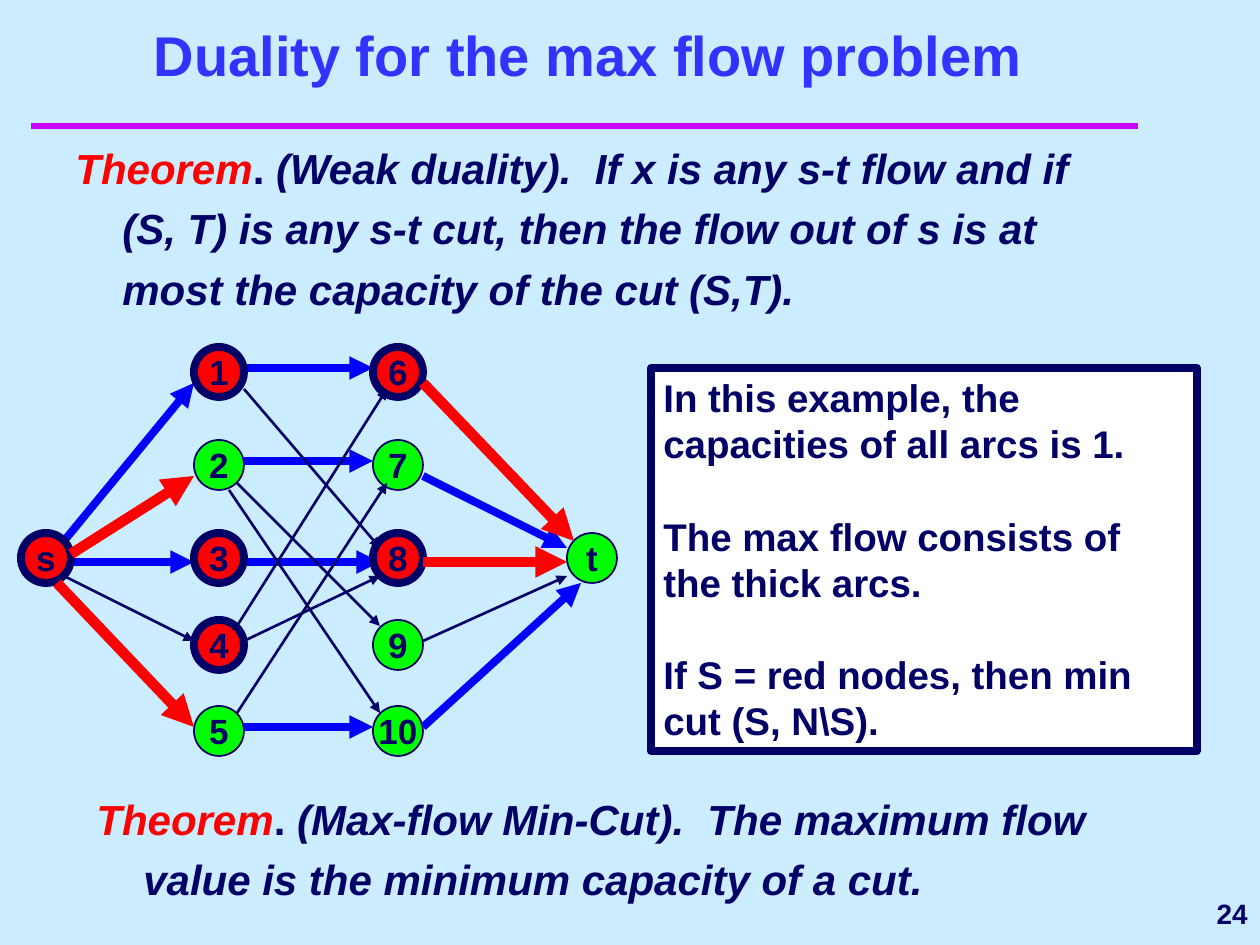
from lxml.etree import SubElement
from pptx import Presentation
from pptx.dml.color import RGBColor
from pptx.enum.shapes import MSO_CONNECTOR, MSO_SHAPE
from pptx.enum.text import MSO_ANCHOR, PP_ALIGN
from pptx.oxml.ns import qn
from pptx.util import Emu, Pt

SCALE = 914400 / 126
NAVY, RED, BLUE, GREEN = "000066", "FF0000", "0000FF", "00FF00"
NODE = 50
COLS = [0, 173, 352, 546]
ROWS = [0, 93, 186, 273, 359]
RED_NODES = ["1", "3", "4", "6", "8", "s"]

# Tail node, start offset in it, head node, end offset in it
THIN = [
    ("1", (50, 42), "8", (7, 15)),
    ("2", (43, 43), "9", (7, 6)),
    ("2", (35, 50), "10", (7, 7)),
    ("4", (43, 6), "6", (14, 42)),
    ("4", (50, 21), "8", (7, 43)),
    ("5", (43, 7), "7", (14, 43)),
    ("s", (43, 43), "4", (0, 21)),
    ("9", (50, 21), "t", (0, 43)),
]
THICK = [
    ("s", (43, 8), "1", (0, 36)),
    ("s", (50, 29), "3", (0, 29)),
    ("1", (50, 21), "6", (0, 21)),
    ("2", (50, 21), "7", (0, 21)),
    ("3", (50, 29), "8", (7, 29)),
    ("5", (50, 21), "10", (0, 21)),
    ("7", (50, 36), "t", (0, 15)),
    ("10", (50, 21), "t", (14, 50)),
]
CUT = [
    ("s", (50, 21), "2", (0, 36)),
    ("s", (36, 50), "5", (0, 21)),
    ("6", (50, 36), "t", (7, 8)),
    ("8", (50, 29), "t", (0, 29)),
]


def px(*nums):
    return [Emu(round(n * SCALE)) for n in nums]


def color(code):
    return RGBColor.from_string(code)


def style(font, size, code=NAVY):
    font.name, font.size, font.bold = "Arial", Pt(size), True
    font.color.rgb = color(code)


def label(slide, box, text, size, code, align, anchor):
    frame = slide.shapes.add_textbox(*px(*box)).text_frame
    frame.word_wrap = True
    frame.vertical_anchor = anchor
    para = frame.paragraphs[0]
    para.text, para.alignment = text, align
    style(para.font, size, code)


def line(slide, start, end, code, width, arrow=True):
    link = slide.shapes.add_connector(MSO_CONNECTOR.STRAIGHT, *px(*start, *end))
    link.line.color.rgb = color(code)
    link.line.width = Pt(width)
    if arrow:
        SubElement(link.line._get_or_add_ln(), qn("a:tailEnd"), type="triangle")
    SubElement(link._element.spPr, qn("a:effectLst"))


def panel(slide, kind, box, fill, width):
    shape = slide.shapes.add_shape(kind, *px(*box))
    shape.shadow.inherit = False
    shape.fill.solid()
    shape.fill.fore_color.rgb = color(fill)
    shape.line.color.rgb = color(NAVY)
    shape.line.width = Pt(width)
    return shape


def theorem(slide, box, text):
    frame = slide.shapes.add_textbox(*px(*box)).text_frame
    frame.word_wrap = True
    para = frame.paragraphs[0]
    props = para._p.get_or_add_pPr()
    hang = px(47)[0]
    props.set("marL", str(hang))
    props.set("indent", str(-hang))
    para.line_spacing = 1.2
    style(para.font, 24)
    for part, code, slant in [("Theorem", RED, True), (". ", NAVY, False), (text, NAVY, True)]:
        run = para.add_run()
        run.text = part
        run.font.italic = slant
        run.font.color.rgb = color(code)


def graph(slide, left, top):
    """Draw the flow network, with nodes on a grid and red arcs on top."""
    places = {"s": (0, 2), "t": (3, 2)}
    for i in range(10):
        places[str(i + 1)] = (1 + i // 5, i % 5)
    spots = {name: (left + COLS[c], top + ROWS[r]) for name, (c, r) in places.items()}

    def nodes(names, fill, width):
        for name in names:
            shape = panel(slide, MSO_SHAPE.OVAL, (*spots[name], NODE, NODE), fill, width)
            frame = shape.text_frame
            frame.word_wrap = False
            frame.vertical_anchor = MSO_ANCHOR.MIDDLE
            para = frame.paragraphs[0]
            para.text, para.alignment = name, PP_ALIGN.CENTER
            style(para.font, 20)

    def arcs(links, code, width):
        for tail, start, head, end in links:
            (a, b), (c, d) = spots[tail], spots[head]
            line(slide, (a + start[0], b + start[1]), (c + end[0], d + end[1]), code, width)

    nodes([name for name in spots if name not in RED_NODES], GREEN, 1)
    arcs(THICK, BLUE, 4.5)
    arcs(THIN, NAVY, 1.5)
    nodes(RED_NODES, RED, 4.5)
    arcs(CUT, RED, 6)


def notice(slide, box, texts):
    frame = panel(slide, MSO_SHAPE.RECTANGLE, box, "FFFFFF", 4.5).text_frame
    frame.word_wrap = True
    frame.vertical_anchor = MSO_ANCHOR.TOP
    for i, text in enumerate(texts):
        para = frame.add_paragraph() if i else frame.paragraphs[0]
        para.text, para.alignment = text, PP_ALIGN.LEFT
        if i:
            para.space_before = Pt(26.4)
        style(para.font, 22)


def main():
    deck = Presentation()
    deck.slide_width, deck.slide_height = px(1260, 945)
    slide = deck.slides.add_slide(deck.slide_layouts[6])
    slide.background.fill.solid()
    slide.background.fill.fore_color.rgb = color("CCECFF")

    line(slide, (31, 126), (1138, 126), "CC00FF", 4, arrow=False)
    label(slide, (53, 21, 1071, 73), "Duality for the max flow problem",
          32, "3333FF", PP_ALIGN.CENTER, MSO_ANCHOR.BOTTOM)
    theorem(slide, (63, 126, 1065, 199),
            "(Weak duality).  If x is any s-t flow and if (S, T) is any s-t cut, "
            "then the flow out of s is at most the capacity of the cut (S,T).")
    label(slide, (1018, 882, 242, 63), "24", 16, NAVY, PP_ALIGN.RIGHT, MSO_ANCHOR.MIDDLE)
    graph(slide, 21, 347)
    notice(slide, (651, 368, 546, 383), [
        "In this example, the capacities of all arcs is 1.",
        "The max flow consists of the thick arcs.",
        "If S = red nodes, then min cut (S, N\\S).",
    ])
    theorem(slide, (84, 777, 1065, 168),
            "(Max-flow Min-Cut).  The maximum flow value is the minimum capacity of a cut.")
    deck.save("out.pptx")


if __name__ == "__main__":
    main()
